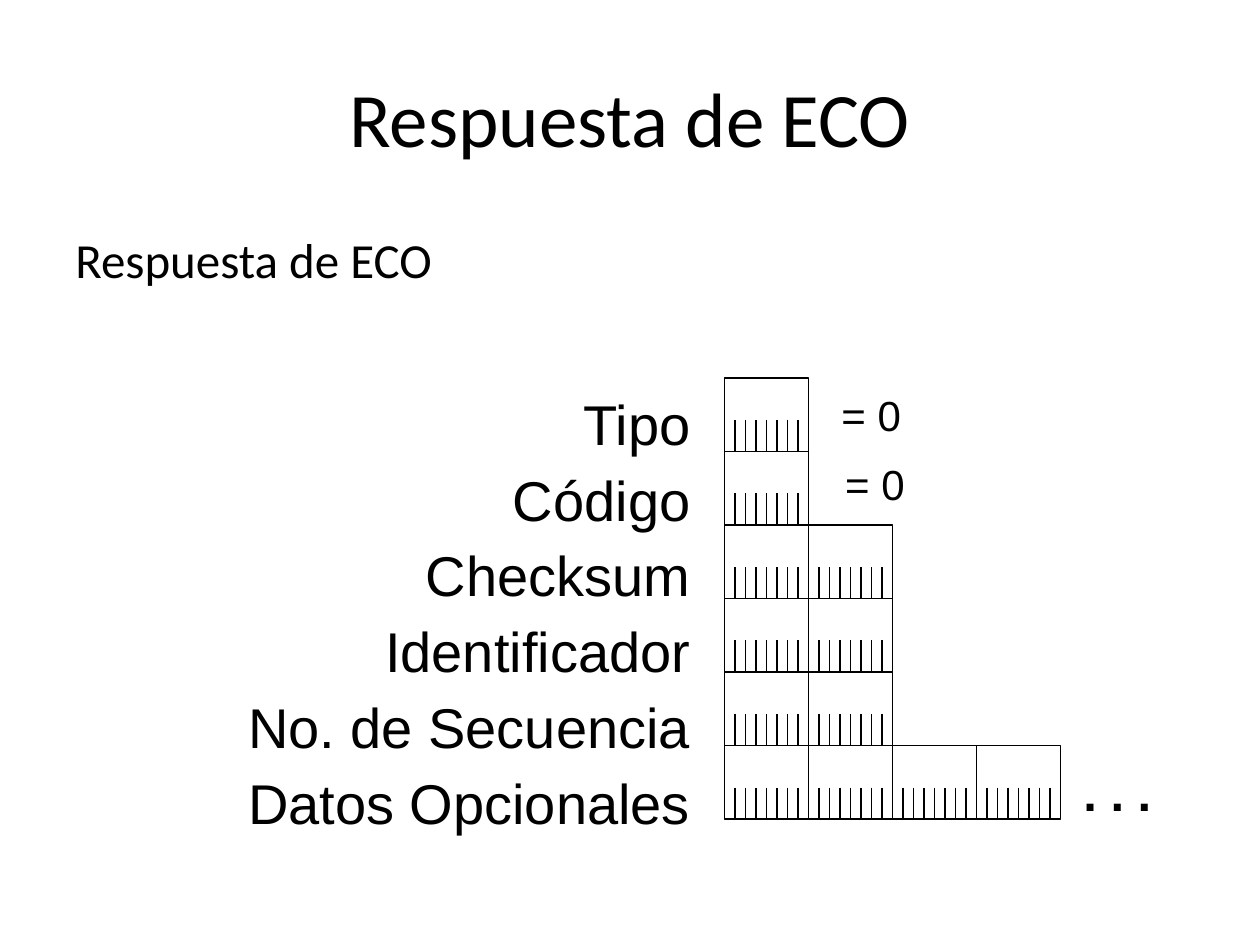
from lxml import etree
from pptx import Presentation
from pptx.dml.color import RGBColor
from pptx.enum.shapes import MSO_CONNECTOR, MSO_SHAPE
from pptx.enum.text import MSO_ANCHOR, PP_ALIGN
from pptx.oxml.ns import qn
from pptx.util import Inches, Pt


def paint(target, color):
    target.fill.solid()
    target.fill.fore_color.rgb = RGBColor.from_string(color)


def write(frame, lines, size, font="Arial", align=PP_ALIGN.LEFT, gap=0, bold=False):
    frame.text = "\n".join(lines)
    for index, paragraph in enumerate(frame.paragraphs):
        paragraph.alignment = align
        paragraph.space_before = Pt(gap if index else 0)
        paragraph.font.name = font
        paragraph.font.size = Pt(size)
        paragraph.font.bold = bold
        paint(paragraph.font, "000000")


presentation = Presentation()
presentation.slide_width = Inches(10)
presentation.slide_height = Inches(7.5)
slide = presentation.slides.add_slide(presentation.slide_layouts[5])
shapes = slide.shapes

title = shapes.title
title.left, title.top = Inches(0.5), Inches(0.3)
title.width, title.height = Inches(9), Inches(1.25)
title.text_frame.vertical_anchor = MSO_ANCHOR.MIDDLE
write(title.text_frame, ["Respuesta de ECO"], 44, "Calibri", PP_ALIGN.CENTER)

subtitle = shapes.add_textbox(Inches(0.5), Inches(1.77), Inches(9), Inches(0.6)).text_frame
subtitle.word_wrap = True
subtitle.text = "Respuesta de ECO"
indent = subtitle.paragraphs[0]._p.get_or_add_pPr()
indent.set("marL", str(Inches(0.81)))
indent.set("indent", str(Inches(-0.31)))
write(subtitle, ["Respuesta de ECO"], 28, "Calibri")
etree.SubElement(indent, qn("a:buFont")).set("typeface", "Arial")
etree.SubElement(indent, qn("a:buChar")).set("char", "–")

fields = [
    ("Tipo", 1),
    ("Código", 1),
    ("Checksum", 2),
    ("Identificador", 2),
    ("No. de Secuencia", 2),
    ("Datos Opcionales", 4),
]
left, top = 5.75, 3
bit = 1 / 12
byte_width, byte_height, tick_height = 8 * bit, 7 * bit, 3 * bit

for row, (field, byte_count) in enumerate(fields):
    bottom = top + (row + 1) * byte_height
    for column in range(byte_count):
        x = left + column * byte_width
        byte = shapes.add_group_shape().shapes
        box = byte.add_shape(
            MSO_SHAPE.RECTANGLE, Inches(x), Inches(bottom - byte_height),
            Inches(byte_width), Inches(byte_height))
        box.shadow.inherit = False
        paint(box, "FFFFFF")
        paint(box.line, "000000")
        box.line.width = Pt(0.75)
        tick_count = 9 if column == byte_count - 1 else 8
        for position in range(tick_count):
            tick_x = Inches(x + position * bit)
            tick = byte.add_connector(
                MSO_CONNECTOR.STRAIGHT, tick_x, Inches(bottom - tick_height),
                tick_x, Inches(bottom))
            paint(tick.line, "000000")
            tick.line.width = Pt(0.75)
            etree.SubElement(tick._element.spPr, qn("a:effectLst"))

for x, y, width, height, value, size, bold in [
    (6.58, 3.04, 0.67, 0.5, "= 0", 24, False),
    (6.61, 3.59, 0.67, 0.5, "= 0", 24, False),
    (8.5, 6, 0.74, 0.57, ". . .", 28, True),
]:
    note = shapes.add_textbox(Inches(x), Inches(y), Inches(width), Inches(height)).text_frame
    note.word_wrap = False
    write(note, [value], size, bold=bold)

labels = shapes.add_textbox(Inches(0.25), Inches(3.04), Inches(5.33), Inches(3.57)).text_frame
labels.word_wrap = True
write(labels, [field for field, _ in fields], 32, align=PP_ALIGN.RIGHT, gap=4.9)

presentation.save("out.pptx")
